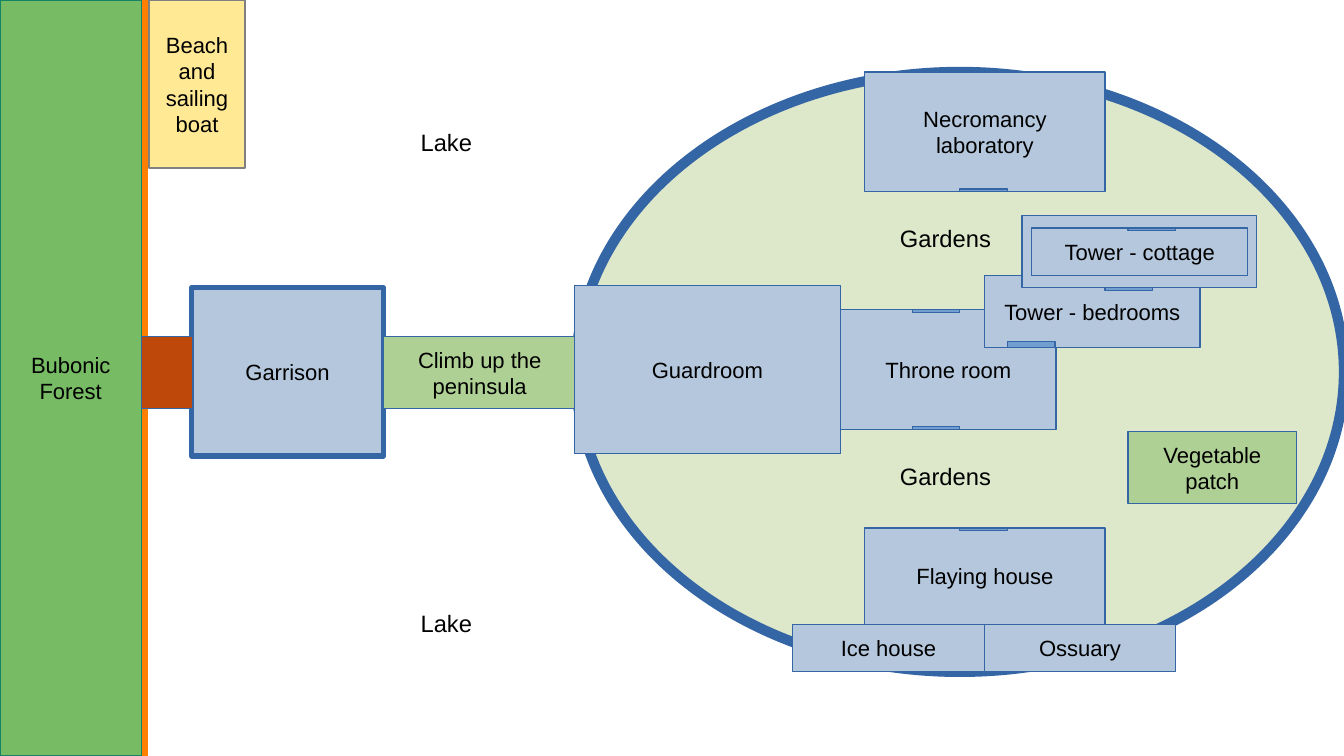
import pptx
import pptx.util
import pptx.dml.color
import pptx.enum.shapes
import pptx.enum.text
from lxml import etree

Inches, Pt = pptx.util.Inches, pptx.util.Pt
RGBColor = pptx.dml.color.RGBColor
MSO_SHAPE = pptx.enum.shapes.MSO_SHAPE

BLACK = RGBColor(0x00, 0x00, 0x00)
WALL_BLUE = RGBColor(0x34, 0x65, 0xA4)
ROOM_BLUE = RGBColor(0xB4, 0xC7, 0xDC)
DOOR_BLUE = RGBColor(0x72, 0x9F, 0xCF)
GARDEN_GREEN = RGBColor(0xDD, 0xE8, 0xCB)
PATCH_GREEN = RGBColor(0xAF, 0xD0, 0x95)
FOREST_GREEN = RGBColor(0x77, 0xBC, 0x65)
FOREST_EDGE = RGBColor(0x15, 0x84, 0x66)
SHORE_ORANGE = RGBColor(0xFF, 0x80, 0x00)
BRIDGE_BROWN = RGBColor(0xBE, 0x48, 0x0A)
SAND = RGBColor(0xFF, 0xE9, 0x94)
SAND_EDGE = RGBColor(0x80, 0x80, 0x80)

PAGE_WIDTH, PAGE_HEIGHT = 11.02, 6.2
DOOR_WIDTH, DOOR_HEIGHT = 0.39, 0.02


def write_text(shape, text, size=13, centred=True, margins=(0.1, 0.05)):
    frame = shape.text_frame
    frame.word_wrap = True
    frame.margin_left = frame.margin_right = Inches(margins[0])
    frame.margin_top = frame.margin_bottom = Inches(margins[1])
    anchors, aligns = pptx.enum.text.MSO_ANCHOR, pptx.enum.text.PP_ALIGN
    frame.vertical_anchor = anchors.MIDDLE if centred else anchors.TOP
    para = frame.paragraphs[0]
    para.alignment = aligns.CENTER if centred else aligns.LEFT
    span = para.add_run()
    span.text = text
    span.font.name, span.font.size = "Arial", Pt(size)
    span.font.color.rgb = BLACK


def add_area(page, box, text="", fill=ROOM_BLUE, edge=WALL_BLUE, edge_width=0,
             kind=MSO_SHAPE.RECTANGLE, margins=(0.1, 0.05)):
    shape = page.shapes.add_shape(kind, *map(Inches, box))
    shape.shadow.inherit = False
    shape.fill.solid()
    shape.fill.fore_color.rgb = fill
    shape.line.color.rgb = edge
    shape.line.width = Pt(edge_width)
    if text:
        write_text(shape, text, margins=margins)


def add_label(page, left, top, text):
    box = page.shapes.add_textbox(*map(Inches, (left, top, 1.18, 0.38)))
    write_text(box, text, size=14, centred=False)


def add_door(page, left, top, height=DOOR_HEIGHT):
    add_area(page, (left, top, DOOR_WIDTH, height), fill=DOOR_BLUE)


def draw_shoreline(page, box):
    left, top, width, height = box
    shore = page.shapes.add_connector(
        pptx.enum.shapes.MSO_CONNECTOR.STRAIGHT,
        *map(Inches, (left + width, top, left + width, top + height)))
    shore.line.color.rgb = SHORE_ORANGE
    shore.line.width = Pt(4.5)
    properties = shore._element.spPr
    etree.SubElement(properties, pptx.oxml.ns.qn("a:effectLst"))


def draw_approach(page, box):
    """Garrison and the climb, side by side, with the lake around them."""
    left, top, width, height = box
    half = width / 2
    add_area(page, (left, top, half, height), "Garrison", edge_width=3,
             margins=(0.12, 0.07))
    add_area(page, (left + half, top + 0.4, half, 0.59),
             "Climb up the peninsula", fill=PATCH_GREEN)
    for lake_top in (top - 1.36, top + 2.58):
        add_label(page, left + 1.78, lake_top, "Lake")


def draw_castle(page, box):
    left, top, width, height = box

    # Rooms: offset and size in the island, name, door positions in the room
    rooms = [
        (-0.01, 1.75, 2.18, 1.38, "Guardroom", []),
        (2.37, 0, 1.97, 0.98, "Necromancy laboratory", [(0.78, 0.96)]),
        (2.17, 1.95, 1.77, 0.98, "Throne room", [(0.59, 0), (0.59, 0.96)]),
        (2.37, 3.74, 1.97, 0.79, "Flaying house", [(0.78, 0)]),
        (1.78, 4.53, 1.57, 0.39, "Ice house", []),
        (3.35, 4.53, 1.57, 0.39, "Ossuary", []),
        (3.35, 1.67, 1.77, 0.59, "Tower - bedrooms", []),
        (3.66, 1.18, 1.92, 0.59, "", [(0.68, 0.59)]),
        (3.74, 1.28, 1.77, 0.39, "Tower - cottage", [(0.79, 0)]),
    ]
    for x, y, room_width, room_height, name, doors in rooms:
        add_area(page, (left + x, top + y, room_width, room_height), name)
        for door_x, door_y in doors:
            add_door(page, left + x + door_x, top + y + door_y)
    # Wider doorway between the throne room and the bedrooms
    add_door(page, left + 3.54, top + 2.21, height=0.05)

    # Grounds
    for garden_top in (1.2, 3.15):
        add_label(page, left + 2.56, top + garden_top, "Gardens")
    add_area(page, (left + 4.53, top + 2.95, 1.38, 0.59), "Vegetable patch",
             fill=PATCH_GREEN)


def draw_mainland(page, box):
    left, top, width, height = box
    add_area(page, box, "Bubonic Forest", fill=FOREST_GREEN, edge=FOREST_EDGE)
    add_area(page, (left + width + 0.06, top, 0.79, 1.38),
             "Beach and sailing boat", fill=SAND, edge=SAND_EDGE,
             edge_width=1.5, margins=(0.11, 0.06))
    # Bridge to the garrison
    add_area(page, (left + width, top + 2.76, 0.42, 0.59), fill=BRIDGE_BROWN)


def main():
    deck = pptx.Presentation()
    deck.slide_width, deck.slide_height = Inches(PAGE_WIDTH), Inches(PAGE_HEIGHT)
    page = deck.slides.add_slide(deck.slide_layouts[6])
    island = (4.72, 0.59, 6.3, 4.92)

    draw_shoreline(page, (0, 0, 1.18, PAGE_HEIGHT))
    add_area(page, island, fill=GARDEN_GREEN, edge_width=6, kind=MSO_SHAPE.OVAL)
    draw_approach(page, (1.57, 2.36, 3.15, 1.38))
    draw_castle(page, island)
    draw_mainland(page, (0, 0, 1.16, PAGE_HEIGHT))
    deck.save("out.pptx")


if __name__ == "__main__":
    main()
